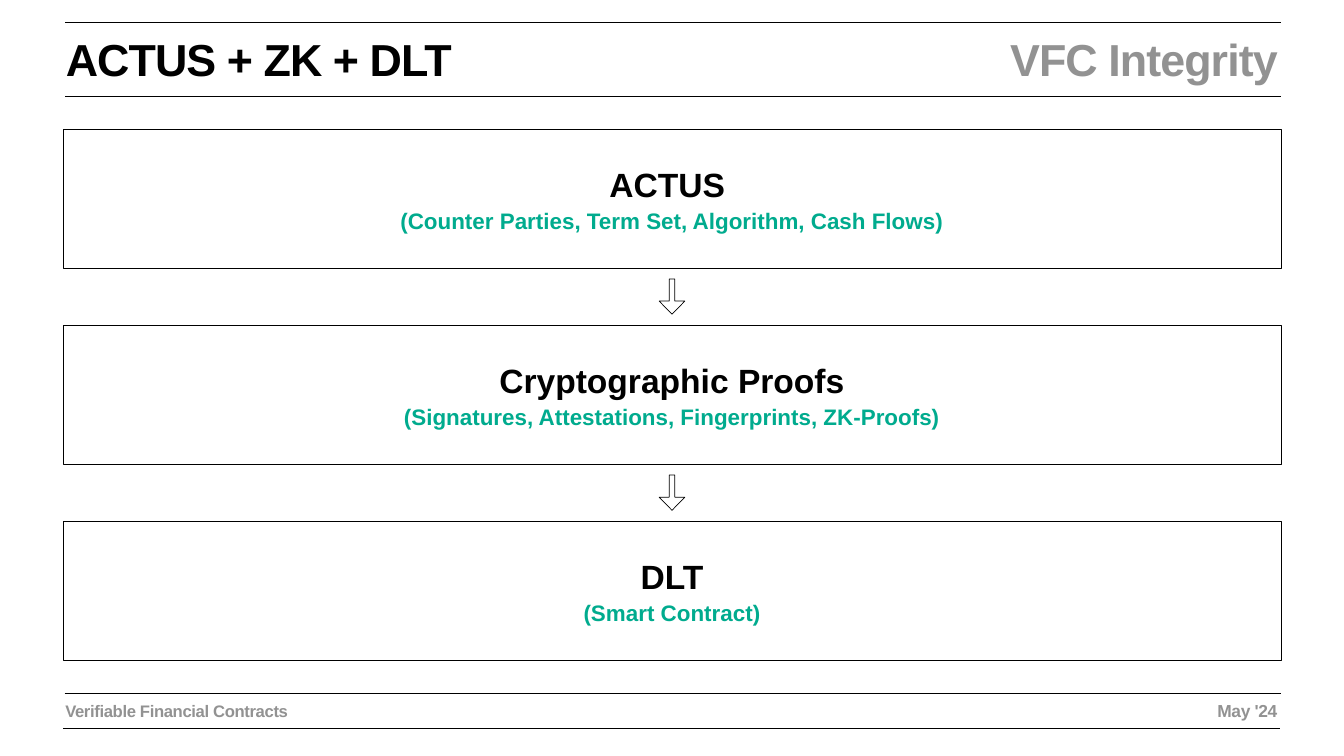
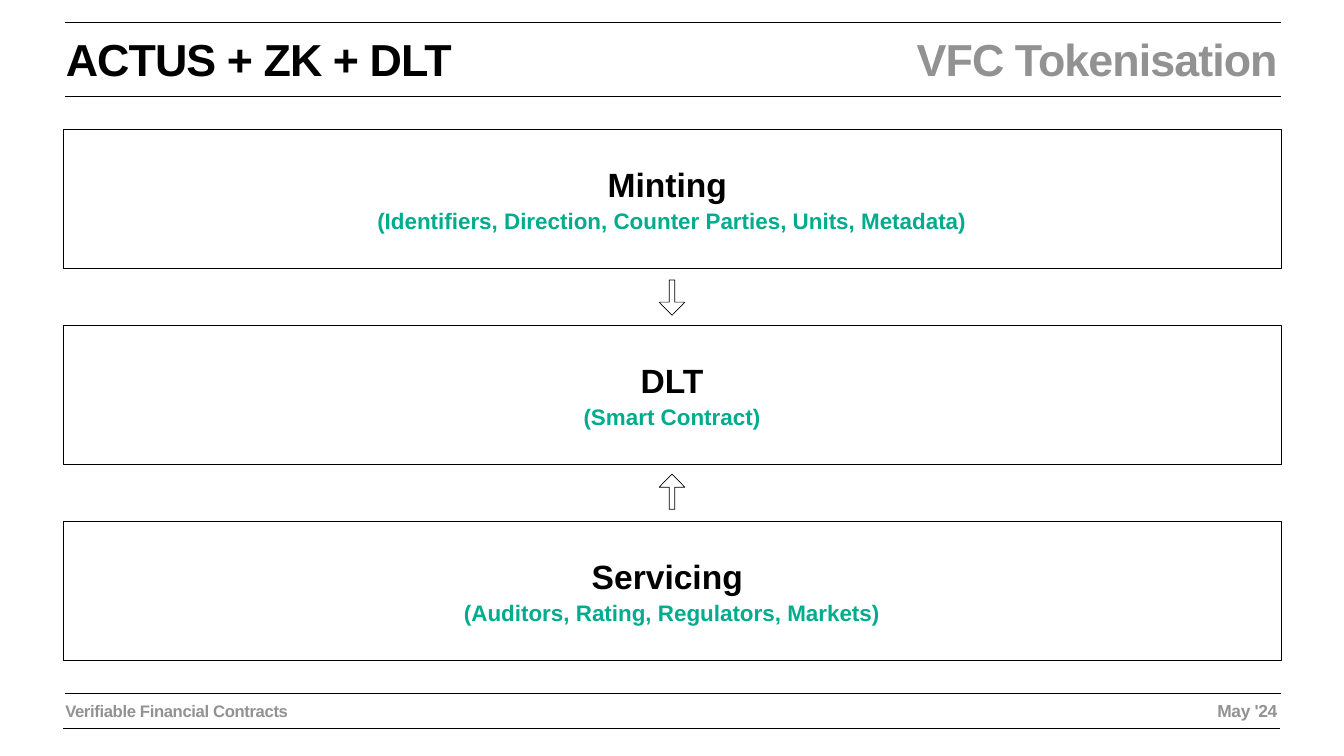
from lxml.etree import SubElement
from pptx import Presentation
from pptx.dml.color import RGBColor
from pptx.enum.shapes import MSO_CONNECTOR, MSO_SHAPE
from pptx.enum.text import MSO_ANCHOR, PP_ALIGN
from pptx.oxml.ns import qn
from pptx.util import Pt

BLACK = RGBColor(0x00, 0x00, 0x00)
WHITE = RGBColor(0xFF, 0xFF, 0xFF)
GREY = RGBColor(0x92, 0x92, 0x92)
GREEN = RGBColor(0x00, 0xAB, 0x8E)
FONT = "Arial"
INSET = Pt(4)

# Stack of boxes, with an arrow in each gap
BOX_LEFT, BOX_TOP, BOX_WIDTH, BOX_HEIGHT = 90, 184.3, 1740, 198.7
BOX_PITCH = 280.3
ARROW_LENGTH, ARROW_WIDTH = 50.4, 36.7
DOWN, UP = 90, 270

# Right-hand title, boxes from top to bottom, arrows as (direction, centre y)
SLIDES = [
    ("VFC Integrity",
     [("ACTUS ", "(Counter Parties, Term Set, Algorithm, Cash Flows)"),
      ("Cryptographic Proofs", "(Signatures, Attestations, Fingerprints, ZK-Proofs)"),
      ("DLT", "(Smart Contract)")],
     [(DOWN, 423.7), (DOWN, 703.8)]),
    ("VFC Tokenisation",
     [("Minting ", "(Identifiers, Direction, Counter Parties, Units, Metadata)"),
      ("DLT", "(Smart Contract)"),
      ("Servicing ", "(Auditors, Rating, Regulators, Markets)")],
     [(DOWN, 425.2), (UP, 702.4)]),
]


def write_run(frame, paragraph, text, size, color, align, spacing=0):
    frame.word_wrap = True
    frame.margin_left = frame.margin_right = INSET
    frame.margin_top = frame.margin_bottom = INSET
    paragraph.alignment = align
    run = paragraph.add_run()
    run.text = text
    run.font.name = FONT
    run.font.size = Pt(size)
    run.font.bold = True
    run.font.color.rgb = color
    if spacing:
        run._r.get_or_add_rPr().set("spc", str(spacing))


def add_band(slide, rules, texts):
    """Group of two full-width rules and the texts between them."""
    shapes = slide.shapes.add_group_shape().shapes
    for left, y in rules:
        rule = shapes.add_connector(
            MSO_CONNECTOR.STRAIGHT, Pt(left), Pt(y), Pt(left + 1737.4), Pt(y))
        rule.line.color.rgb = BLACK
        rule.line.width = Pt(1)
        SubElement(rule._element.spPr, qn("a:effectLst"))
    for text, left, top, width, height, size, color, align, spacing in texts:
        frame = shapes.add_textbox(Pt(left), Pt(top), Pt(width), Pt(height)).text_frame
        write_run(frame, frame.paragraphs[0], text, size, color, align, spacing)


presentation = Presentation()
presentation.slide_width = Pt(1920)
presentation.slide_height = Pt(1080)

for topic, boxes, arrows in SLIDES:
    slide = presentation.slides.add_slide(presentation.slide_layouts[6])

    # Header
    add_band(slide, [(92.9, 138.2), (92.9, 32.4)], [
        ("ACTUS + ZK + DLT", 90, 41, 795, 88, 64, BLACK, PP_ALIGN.LEFT, -130),
        (topic, 629.3, 41, 1200, 88, 64, GREY, PP_ALIGN.RIGHT, -130),
    ])

    # Boxes
    for index, (heading, detail) in enumerate(boxes):
        box = slide.shapes.add_shape(
            MSO_SHAPE.RECTANGLE, Pt(BOX_LEFT), Pt(BOX_TOP + index * BOX_PITCH),
            Pt(BOX_WIDTH), Pt(BOX_HEIGHT))
        box.shadow.inherit = False
        box.fill.solid()
        box.fill.fore_color.rgb = WHITE
        box.line.color.rgb = BLACK
        box.line.width = Pt(1)
        frame = box.text_frame
        frame.vertical_anchor = MSO_ANCHOR.MIDDLE
        lines = [(frame.paragraphs[0], heading, 48, BLACK),
                 (frame.add_paragraph(), detail, 32, GREEN)]
        for paragraph, text, size, color in lines:
            paragraph.space_before = Pt(4)
            write_run(frame, paragraph, text, size, color, PP_ALIGN.CENTER)

    # Arrows
    for direction, center in arrows:
        arrow = slide.shapes.add_shape(
            MSO_SHAPE.RIGHT_ARROW, Pt(960 - ARROW_LENGTH / 2),
            Pt(center - ARROW_WIDTH / 2), Pt(ARROW_LENGTH), Pt(ARROW_WIDTH))
        arrow.rotation = direction
        arrow.adjustments[0] = 0.22
        arrow.adjustments[1] = 0.51
        arrow.shadow.inherit = False
        arrow.fill.solid()
        arrow.fill.fore_color.rgb = WHITE
        arrow.line.color.rgb = BLACK
        arrow.line.width = Pt(1)

    # Footer
    add_band(slide, [(90.7, 1041.1), (92.2, 990)], [
        ("Verifiable Financial Contracts", 89.3, 996.5, 795, 37.5, 23.8, GREY,
         PP_ALIGN.LEFT, -50),
        ("May '24", 984.2, 996.5, 844.6, 38, 24.8, GREY, PP_ALIGN.RIGHT, -50),
    ])

presentation.save("out.pptx")
